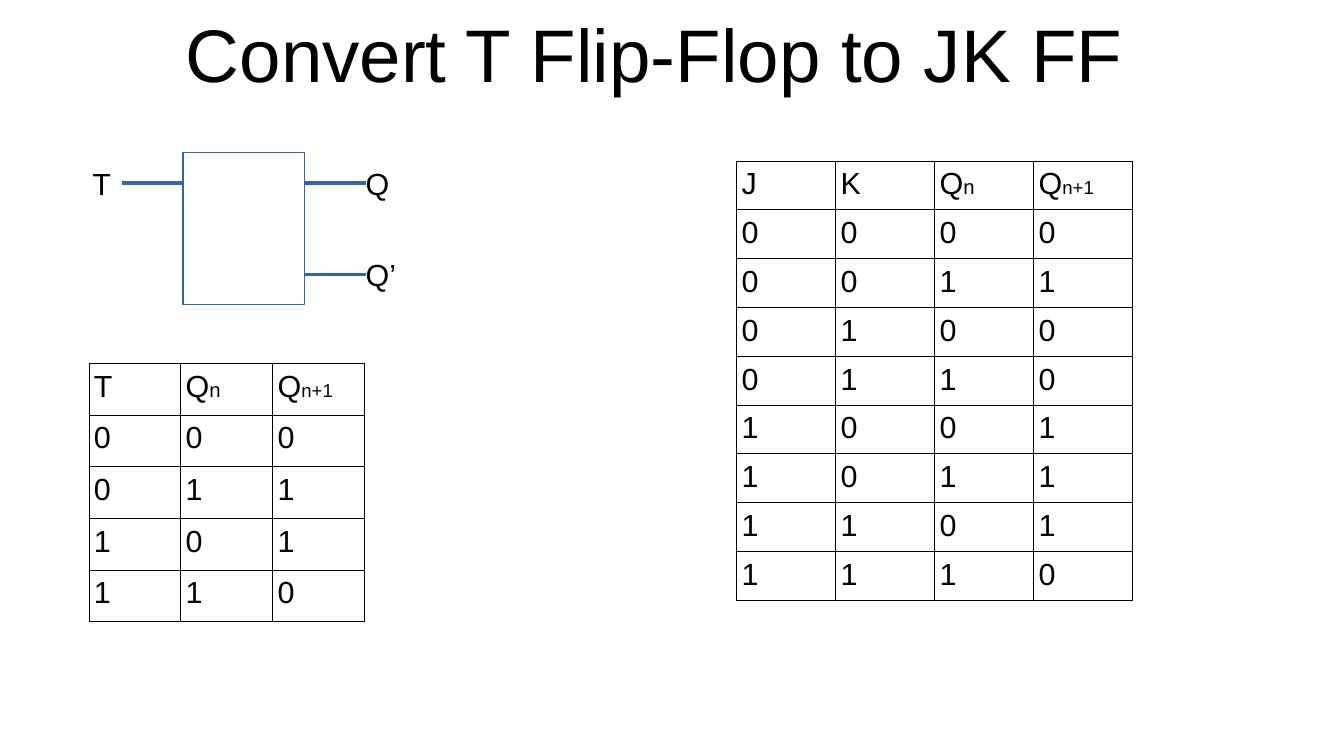
from lxml.etree import SubElement
from pptx import Presentation
from pptx.dml.color import RGBColor
from pptx.enum.shapes import MSO_CONNECTOR as Connector, MSO_SHAPE as Shape
from pptx.enum.text import MSO_ANCHOR as Anchor, PP_ALIGN as Align
from pptx.oxml.ns import qn
from pptx.util import Inches, Pt

BLACK = RGBColor(0x00, 0x00, 0x00)
BLUE = RGBColor(0x34, 0x65, 0xA4)
SUBSCRIPT_SIZES = {"n": 12, "n+1": 11}
NEXT_STATE_HEADS = [("Q", "n"), ("Q", "n+1")]
T_TABLE = [["T", *NEXT_STATE_HEADS], "000", "011", "101", "110"]
JK_TABLE = [
    ["J", "K", *NEXT_STATE_HEADS],
    "0000", "0011", "0100", "0110",
    "1001", "1011", "1101", "1110",
]


class SlideBuilder:
    font = "Arial"
    body_size = 18
    hairline = Pt(0)
    grid_line = Pt(0.57)

    def __init__(self, page):
        self.page = page
        self.canvas = page.shapes

    def start_group(self):
        self.canvas = self.page.shapes.add_group_shape().shapes

    def end_group(self):
        self.canvas = self.page.shapes

    def style(self, span, size):
        span.font.name = self.font
        span.font.size = Pt(size)
        span.font.bold = False
        span.font.color.rgb = BLACK

    def title(self, text, left, top, width, height):
        box = self.label(text, left, top, width, height, 44)
        frame = box.text_frame
        frame.word_wrap = True
        frame.vertical_anchor = Anchor.MIDDLE
        frame.margin_left = frame.margin_right = 0
        frame.margin_top = frame.margin_bottom = 0
        frame.paragraphs[0].alignment = Align.CENTER

    def label(self, text, left, top, width, height=0.38, size=body_size):
        box = self.canvas.add_textbox(
            Inches(left), Inches(top), Inches(width), Inches(height))
        box.text_frame.word_wrap = False
        box.text_frame.text = text
        self.style(box.text_frame.paragraphs[0].runs[0], size)
        return box

    def block(self, left, top, width, height):
        shape = self.canvas.add_shape(
            Shape.RECTANGLE,
            Inches(left), Inches(top), Inches(width), Inches(height))
        shape.shadow.inherit = False
        shape.fill.background()
        shape.line.color.rgb = BLUE
        shape.line.width = self.hairline

    def wire(self, start, end, level):
        line = self.canvas.add_connector(
            Connector.STRAIGHT,
            Inches(start), Inches(level), Inches(end), Inches(level))
        line.line.color.rgb = BLUE
        line.line.width = self.hairline
        SubElement(line._element.spPr, qn("a:effectLst"))

    def table(self, rows, left, top, width, height):
        frame = self.canvas.add_table(
            len(rows), len(rows[0]),
            Inches(left), Inches(top), Inches(width), Inches(height))
        table = frame.table
        table.first_row = table.horz_banding = False
        for table_row, values in zip(table.rows, rows):
            for cell, value in zip(table_row.cells, values):
                self.fill_cell(cell, value)

    def fill_cell(self, cell, parts):
        cell.margin_left = cell.margin_right = Inches(0.04)
        cell.margin_top = cell.margin_bottom = Inches(0.05)
        para = cell.text_frame.paragraphs[0]
        for part in parts:
            span = para.add_run()
            span.text = part
            self.style(span, SUBSCRIPT_SIZES.get(part, self.body_size))
        self.outline_cell(cell)
        cell.fill.background()

    def outline_cell(self, cell):
        properties = cell._tc.get_or_add_tcPr()
        for side in ("a:lnL", "a:lnR", "a:lnT", "a:lnB"):
            border = SubElement(properties, qn(side), w=str(self.grid_line))
            fill = SubElement(border, qn("a:solidFill"))
            SubElement(fill, qn("a:srgbClr"), val=str(BLACK))


def main():
    deck = Presentation()
    deck.slide_width = Inches(11.02)
    deck.slide_height = Inches(6.2)
    builder = SlideBuilder(deck.slides.add_slide(deck.slide_layouts[6]))

    builder.title("Convert T Flip-Flop to JK FF", 0.16, 0.08, 10.42, 0.7)

    builder.start_group()
    builder.block(1.5, 1.25, 1, 1.25)
    for start, level in [(1, 1.5), (2.5, 1.5), (2.5, 2.25)]:
        builder.wire(start, start + 0.5, level)
    for text, left, top, width in [
        ("T", 0.66, 1.3, 0.35),
        ("Q", 2.9, 1.3, 0.35),
        ("Q’", 2.9, 2.05, 0.45),
    ]:
        builder.label(text, left, top, width)
    builder.end_group()

    builder.table(T_TABLE, 0.73, 2.98, 2.26, 2.12)
    builder.table(JK_TABLE, 6.04, 1.32, 3.25, 3.42)
    deck.save("out.pptx")


if __name__ == "__main__":
    main()
